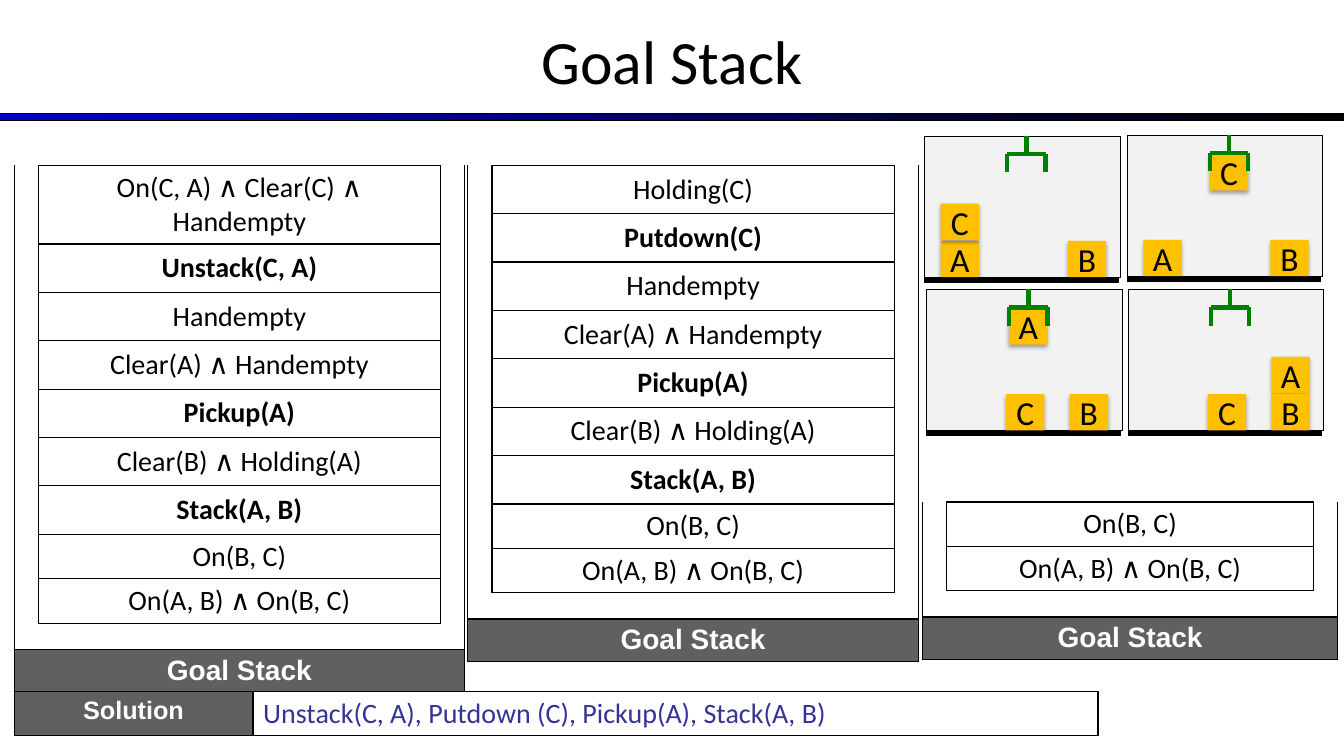
from dataclasses import dataclass

from lxml import etree
from pptx import Presentation
from pptx.dml.color import RGBColor
from pptx.enum.shapes import MSO_CONNECTOR, MSO_SHAPE
from pptx.enum.text import MSO_ANCHOR, PP_ALIGN
from pptx.oxml.ns import qn
from pptx.util import Inches, Pt

CENTER, LEFT = PP_ALIGN.CENTER, PP_ALIGN.LEFT
MIDDLE, TOP = MSO_ANCHOR.MIDDLE, MSO_ANCHOR.TOP
RECTANGLE, STRAIGHT = MSO_SHAPE.RECTANGLE, MSO_CONNECTOR.STRAIGHT
PLAIN_TABLE = "{2D5ABB26-0587-4C30-8999-92F81FD0307C}"


@dataclass(frozen=True)
class Theme:
    black: RGBColor = RGBColor(0, 0, 0)
    white: RGBColor = RGBColor(255, 255, 255)
    blue: RGBColor = RGBColor(0, 0, 0xCC)
    panel: RGBColor = RGBColor(0xF2, 0xF2, 0xF2)
    block: RGBColor = RGBColor(0xFF, 0xC0, 0)
    claw: RGBColor = RGBColor(0, 0x80, 0)
    header: RGBColor = RGBColor(0x60, 0x60, 0x60)
    solution: RGBColor = RGBColor(0x33, 0x33, 0x99)
    body_font: str = "Calibri"
    header_font: str = "Arial"
    title_size: int = 44
    block_size: int = 24
    stack_size: int = 20
    solution_size: int = 18


theme = Theme()


def write(box, text, size, color=theme.black, font=theme.body_font, bold=False, align=CENTER):
    frame = box.text_frame
    frame.text = text
    para = frame.paragraphs[0]
    para.alignment = align
    para.font.size = Pt(size)
    para.font.name = font
    para.font.bold = bold
    para.font.color.rgb = color


def style_cell(cell, sides, fill=None):
    """Draw the borders named by the letters L, R, T and B, then the fill."""
    cell_format = cell._tc.get_or_add_tcPr()
    for side in "LRTB":
        if side in sides:
            line = etree.SubElement(cell_format, qn(f"a:ln{side}"), w=str(Pt(1)))
            solid = etree.SubElement(line, qn("a:solidFill"))
            etree.SubElement(solid, qn("a:srgbClr"), val=str(theme.black))
    if fill is None:
        cell.fill.background()
    else:
        cell.fill.solid()
        cell.fill.fore_color.rgb = fill


deck = Presentation()
deck.slide_width, deck.slide_height = Inches(13.33), Inches(7.5)
page = deck.slides.add_slide(deck.slide_layouts[5])

# Title and gradient rule
title = page.shapes.title
title.left, title.top = Inches(0), Inches(-0.03)
title.width, title.height = Inches(13.33), Inches(1.25)
write(title, "Goal Stack", theme.title_size)
title.text_frame.vertical_anchor = MIDDLE

rule = page.shapes.add_shape(RECTANGLE, Inches(0), Inches(1.13), Inches(13.33), Inches(0.07))
rule.shadow.inherit = False
rule.fill.gradient()
rule.fill.gradient_angle = 0
for stop, color, position in zip(rule.fill.gradient_stops, (theme.blue, theme.black), (0, 1)):
    stop.color.rgb = color
    stop.position = position
rule.line.color.rgb = theme.black
rule.line.width = Pt(0.75)

# Goal stacks: left, top, width of the middle column, empty rows on top, goals
final_goals = ["On(B, C)", "On(A, B) ∧ On(B, C)"]
pickup_and_stack = ["Handempty", "Clear(A) ∧ Handempty", "Pickup(A)",
                    "Clear(B) ∧ Holding(A)", "Stack(A, B)"] + final_goals
actions = ("Unstack", "Putdown", "Pickup", "Stack")
stacks = [
    (0.14, 1.64, 3.99, 0, ["On(C, A) ∧ Clear(C) ∧ Handempty", "Unstack(C, A)"] + pickup_and_stack),
    (4.64, 1.64, 3.99, 0, ["Holding(C)", "Putdown(C)"] + pickup_and_stack),
    (9.15, 3.06, 3.64, 4, final_goals),
]
side_width, tall_row, short_row, gap_row = 0.23, 0.48, 0.42, 0.26

for left, top, middle_width, empty_rows, goals in stacks:
    tall_rows = empty_rows + len(goals) - len(final_goals)
    heights = [tall_row] * tall_rows + [short_row] * 2 + [gap_row, short_row]
    widths = [side_width, middle_width, side_width]
    frame = page.shapes.add_table(len(heights), 3, Inches(left), Inches(top),
                                  Inches(sum(widths)), Inches(sum(heights)))
    table = frame.table
    table.first_row = table.horz_banding = False
    table._tbl.tblPr.find(qn("a:tableStyleId")).text = PLAIN_TABLE
    for column, width in zip(table.columns, widths):
        column.width = Inches(width)

    labels = [""] * empty_rows + goals + ["", "Goal Stack"]
    gap, footer = len(labels) - 2, len(labels) - 1
    for row, (height, label) in enumerate(zip(heights, labels)):
        table.rows[row].height = Inches(height)
        if row < empty_rows:
            borders = ("", "B" if row == empty_rows - 1 else "", "")
        elif row < gap:
            borders = ("LR", "LRTB", "LR")
        elif row == gap:
            borders = ("LB", "TB", "RB")
        else:
            borders = ("LTB", "TB", "RTB")
        for column, sides in enumerate(borders):
            cell = table.cell(row, column)
            style_cell(cell, sides, theme.header if row == footer else None)
            cell.vertical_anchor = MIDDLE
            if column == 1 and row == footer:
                write(cell, label, theme.stack_size, theme.white, theme.header_font, True)
            elif column == 1 and label:
                write(cell, label, theme.stack_size, bold=label.startswith(actions))
            else:
                # Small type lets the narrow gap row keep its height
                etree.SubElement(cell.text_frame.paragraphs[0]._p, qn("a:endParaRPr"), sz="800")

# Solution
frame = page.shapes.add_table(1, 2, Inches(0.14), Inches(6.86), Inches(10.75), Inches(0.41))
solution = frame.table
solution.first_row = solution.horz_banding = False
solution._tbl.tblPr.find(qn("a:tableStyleId")).text = PLAIN_TABLE
solution.columns[0].width, solution.columns[1].width = Inches(2.37), Inches(8.38)
heading, plan = solution.cell(0, 0), solution.cell(0, 1)
style_cell(heading, "LRTB", theme.header)
style_cell(plan, "LRTB")
heading.vertical_anchor = plan.vertical_anchor = TOP
write(heading, "Solution", theme.solution_size, theme.white, theme.header_font, True)
write(plan, "Unstack(C, A), Putdown (C), Pickup(A), Stack(A, B)", theme.stack_size,
      theme.solution, align=LEFT)

# Block worlds: panel corner, then the place of each block inside the panel
west, center, east = 0.16, 0.79, 1.42
ground, second = 1.04, 0.67
held = (0.82, 0.19)
worlds = [
    (9.17, 1.35, {"A": (west, ground), "B": (east, ground), "C": (west, second)}),
    (11.18, 1.34, {"A": (west, ground), "B": (east, ground), "C": held}),
    (9.19, 2.87, {"A": held, "B": (east, ground), "C": (center, ground)}),
    (11.19, 2.87, {"A": (east, second), "B": (east, ground), "C": (center, ground)}),
]
claw_lines = [(0.82, 0.18, 1.2, 0.18), (0.82, 0.18, 0.82, 0.36),
              (1.01, 0, 1.01, 0.18), (1.2, 0.18, 1.2, 0.36)]

for left, top, blocks in worlds:
    world = page.shapes.add_group_shape().shapes

    # Panel and floor
    for offset, width, height, color in ((0, 1.94, 1.4, theme.panel), (1.4, 1.92, 0.05, theme.black)):
        panel = world.add_shape(RECTANGLE, Inches(left), Inches(top + offset),
                                Inches(width), Inches(height))
        panel.shadow.inherit = False
        panel.fill.solid()
        panel.fill.fore_color.rgb = color
        panel.line.color.rgb = theme.black
        panel.line.width = Pt(0.75)

    # Blocks with a soft shadow
    for name, (x, y) in blocks.items():
        block = world.add_shape(RECTANGLE, Inches(left + x), Inches(top + y),
                                Inches(0.38), Inches(0.36))
        block.fill.solid()
        block.fill.fore_color.rgb = theme.block
        block.line.fill.background()
        block.shadow.inherit = False
        effects = block._element.spPr.find(qn("a:effectLst"))
        shadow = etree.SubElement(effects, qn("a:outerShdw"), blurRad=str(Pt(3.1)),
                                  dist=str(Pt(1.8)), dir="5400000", rotWithShape="0")
        shade = etree.SubElement(shadow, qn("a:srgbClr"), val=str(theme.black))
        etree.SubElement(shade, qn("a:alpha"), val="35000")
        write(block, name, theme.block_size)
        block.text_frame.word_wrap = False
        block.text_frame.vertical_anchor = MIDDLE

    # Robot claw
    for x1, y1, x2, y2 in claw_lines:
        bar = world.add_connector(STRAIGHT, Inches(left + x1), Inches(top + y1),
                                  Inches(left + x2), Inches(top + y2))
        bar.line.color.rgb = theme.claw
        bar.line.width = Pt(3)
        etree.SubElement(bar._element.spPr, qn("a:effectLst"))

deck.save("out.pptx")
